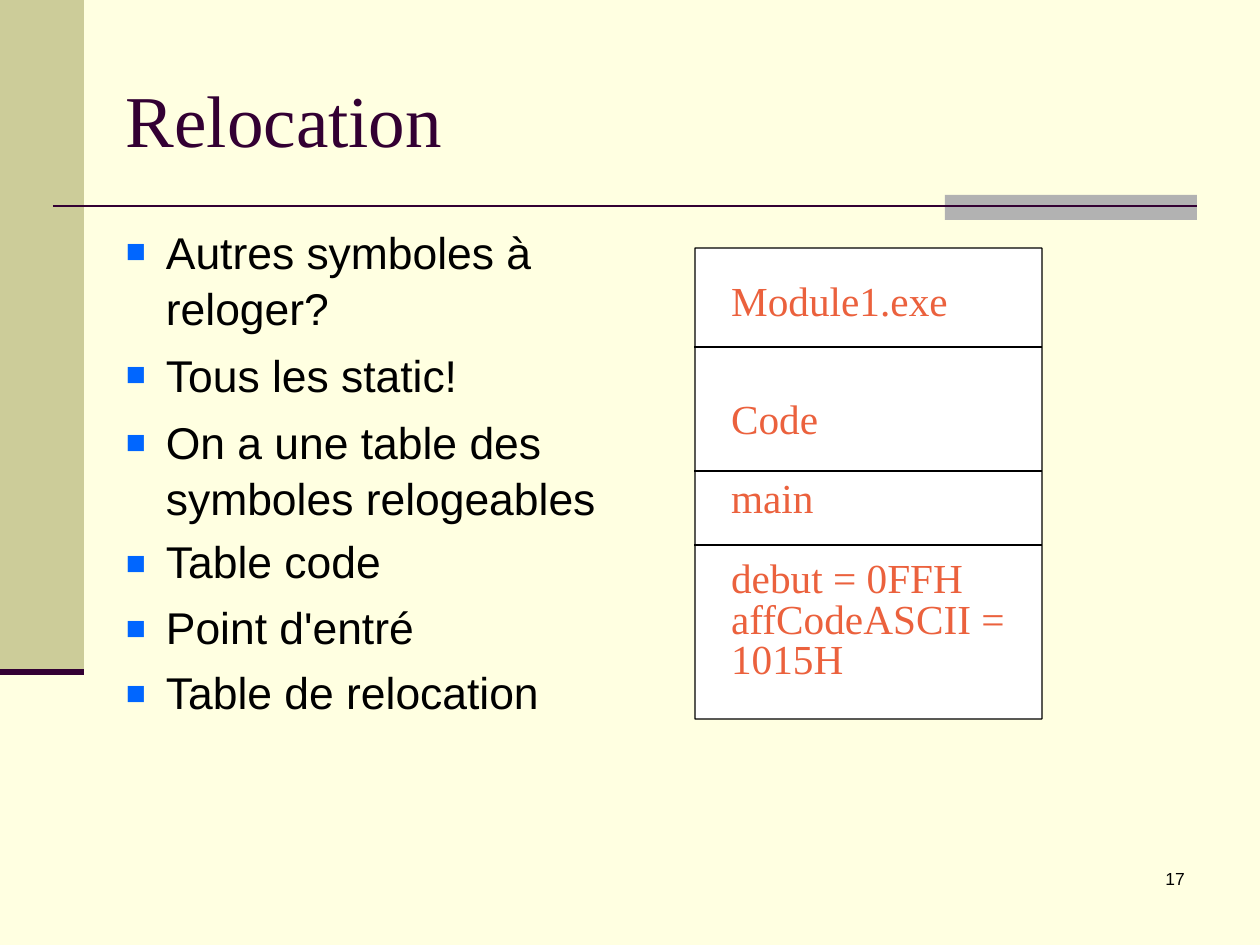
from lxml.etree import SubElement
from pptx import Presentation
from pptx.dml.color import RGBColor
from pptx.enum.shapes import MSO_CONNECTOR, MSO_SHAPE
from pptx.enum.text import MSO_ANCHOR, PP_ALIGN
from pptx.oxml.ns import qn
from pptx.util import Pt

EMU_PER_PX = 8000
SERIF, SANS = "Times New Roman", "Arial"
CREAM = RGBColor(0xFF, 0xFF, 0xE1)
KHAKI = RGBColor(0xCC, 0xCC, 0x99)
GREY = RGBColor(0xB2, 0xB2, 0xB2)
PLUM = RGBColor(0x33, 0x00, 0x33)
BLUE = RGBColor(0x00, 0x66, 0xFF)
ORANGE = RGBColor(0xEB, 0x61, 0x3D)
BLACK = RGBColor(0, 0, 0)
WHITE = RGBColor(0xFF, 0xFF, 0xFF)

TOPICS = [
    ("Autres symboles à reloger?", 1.05, 0),
    ("Tous les static!", 1.05, 7),
    ("On a une table des symboles relogeables", 1.05, 7),
    ("Table code", 0.99, 7.8),
    ("Point d'entré", 0.99, 7.8),
    ("Table de relocation", 0.99, 7.8),
]
MODULE_LINES = [
    ("Module1.exe", 0),
    ("Code", 77),
    ("main", 39),
    ("debut = 0FFH", 39),
    ("affCodeASCII = 1015H", 0),
]
MODULE_DIVIDERS = [99, 223, 297]


def px(length):
    return length * EMU_PER_PX


def add_block(slide, box, fill, preset=MSO_SHAPE.RECTANGLE):
    block = slide.shapes.add_shape(preset, *map(px, box))
    block.shadow.inherit = False
    block.fill.solid()
    block.fill.fore_color.rgb = fill
    block.line.fill.background()
    return block


def add_rule(slide, start, end, color, width):
    rule = slide.shapes.add_connector(
        MSO_CONNECTOR.STRAIGHT, *map(px, (*start, *end)))
    rule.line.color.rgb = color
    rule.line.width = Pt(width)
    SubElement(rule._element.spPr, qn("a:effectLst"))


def set_frame(frame, insets, anchor=MSO_ANCHOR.TOP):
    frame.word_wrap = True
    frame.vertical_anchor = anchor
    (frame.margin_left, frame.margin_top,
     frame.margin_right, frame.margin_bottom) = map(px, insets)


def add_text_area(slide, box, insets=(0, 0, 0, 0), anchor=MSO_ANCHOR.TOP):
    frame = slide.shapes.add_textbox(*map(px, box)).text_frame
    set_frame(frame, insets, anchor)
    return frame


def style(paragraph, face, size, color):
    paragraph.font.name = face
    paragraph.font.size = Pt(size)
    paragraph.font.color.rgb = color


def write_line(frame, index, text):
    paragraph = frame.add_paragraph() if index else frame.paragraphs[0]
    paragraph.text = text
    return paragraph


def add_square_bullet(paragraph, indent):
    props = paragraph._p.get_or_add_pPr()
    props.set("marL", str(px(indent)))
    props.set("indent", str(-px(indent)))
    color = SubElement(props, qn("a:buClr"))
    SubElement(color, qn("a:srgbClr"), val=str(BLUE))
    SubElement(props, qn("a:buSzPct"), val="75000")
    SubElement(props, qn("a:buFont"), typeface=SANS)
    SubElement(props, qn("a:buChar"), char="■")


def draw_decor(slide, box):
    left, top, width, height = box
    add_block(slide, (left, top, 84, 672), KHAKI)
    add_block(slide, (left + 945, top + 195, 252, 25), GREY)
    add_rule(slide, (left + 53, top + 206), (left + 1197, top + 206), PLUM, 1.5)
    add_rule(slide, (left, top + 672), (left + 84, top + 672), PLUM, 3.5)


def draw_title(slide, box):
    title = add_text_area(slide, box, anchor=MSO_ANCHOR.MIDDLE).paragraphs[0]
    title.text = "Relocation"
    title.line_spacing = 1.01
    style(title, SERIF, 46, PLUM)


def draw_topics(slide, box):
    frame = add_text_area(slide, box)
    for index, (text, spacing, before) in enumerate(TOPICS):
        topic = write_line(frame, index, text)
        add_square_bullet(topic, 40)
        topic.line_spacing = spacing
        topic.space_before = Pt(before)
        style(topic, SANS, 28, BLACK)


def draw_module(slide, box):
    left, top, width, height = box
    module = add_block(slide, box, WHITE, MSO_SHAPE.ROUNDED_RECTANGLE)
    module.adjustments[0] = 0.001
    module.line.color.rgb = BLACK
    module.line.width = Pt(0.75)
    set_frame(module.text_frame, (36, 6, 12, 6), MSO_ANCHOR.MIDDLE)
    for index, (text, gap) in enumerate(MODULE_LINES):
        entry = write_line(module.text_frame, index, text)
        entry.alignment = PP_ALIGN.LEFT
        entry.line_spacing = 0.82
        entry.space_before = px(gap)
        style(entry, SERIF, 26, ORANGE)
    for offset in MODULE_DIVIDERS:
        add_rule(slide, (left + width, top + offset),
                 (left - 1, top + offset), BLACK, 0.75)


def draw_page_number(slide, box):
    number = add_text_area(slide, box, (13, 7, 13, 7)).paragraphs[0]
    number.text = "17"
    number.alignment = PP_ALIGN.RIGHT
    style(number, SANS, 11, BLACK)


def main():
    deck = Presentation()
    deck.slide_width, deck.slide_height = px(1260), px(945)
    slide = deck.slides.add_slide(deck.slide_layouts[6])
    slide.background.fill.solid()
    slide.background.fill.fore_color.rgb = CREAM
    draw_decor(slide, (0, 0, 1260, 945))
    draw_page_number(slide, (935, 861, 263, 63))
    draw_title(slide, (126, 39, 1071, 158))
    draw_topics(slide, (126, 222, 523, 624))
    draw_module(slide, (695, 248, 347, 471))
    deck.save("out.pptx")


if __name__ == "__main__":
    main()
